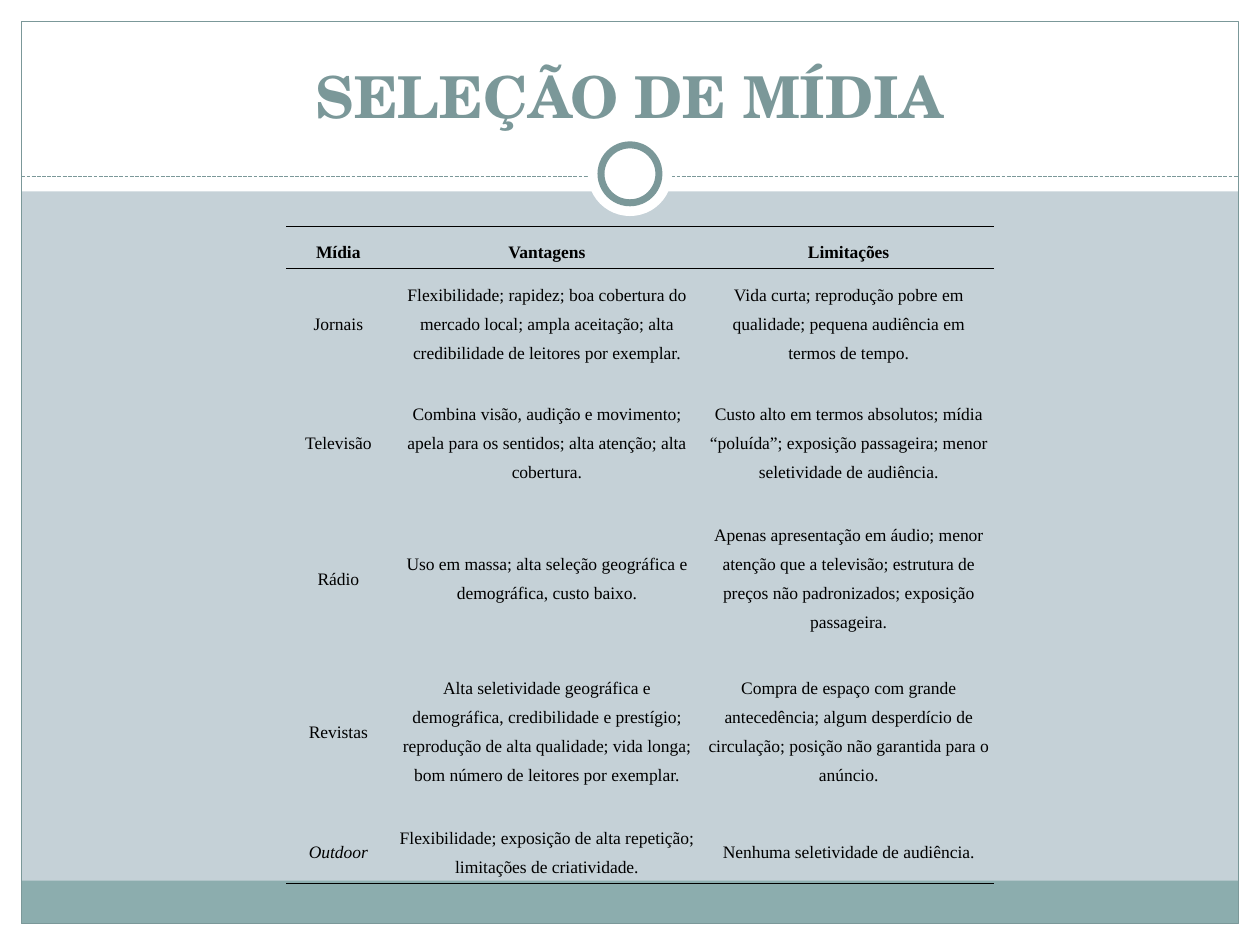
from pptx import Presentation
from pptx.dml.color import RGBColor
from pptx.enum.dml import MSO_LINE
from pptx.enum.shapes import MSO_CONNECTOR, MSO_SHAPE
from pptx.enum.text import MSO_ANCHOR, PP_ALIGN
from pptx.oxml.ns import qn
from pptx.util import Inches, Pt
from lxml.etree import SubElement

WHITE, BLACK, TEAL, BAND, PAGE = "FFFFFF", "000000", "7B9899", "8CADAE", "C5D1D7"
COLUMNS = (0.83, 2.48, 2.31)
HEIGHTS = (0.27, 0.81, 1.08, 1.08, 1.35, 0.54)
MEDIA = (
    ("Mídia", "Vantagens", "Limitações"),
    ("Jornais",
     "Flexibilidade; rapidez; boa cobertura do mercado local; ampla aceitação; "
     "alta credibilidade de leitores por exemplar.",
     "Vida curta; reprodução pobre em qualidade; pequena audiência em termos de tempo."),
    ("Televisão",
     "Combina visão, audição e movimento; apela para os sentidos; alta atenção; alta cobertura.",
     "Custo alto em termos absolutos; mídia “poluída”; exposição passageira; "
     "menor seletividade de audiência."),
    ("Rádio",
     "Uso em massa; alta seleção geográfica e demográfica, custo baixo.",
     "Apenas apresentação em áudio; menor atenção que a televisão; estrutura de preços "
     "não padronizados; exposição passageira."),
    ("Revistas",
     "Alta seletividade geográfica e demográfica, credibilidade e prestígio; reprodução "
     "de alta qualidade; vida longa; bom número de leitores por exemplar.",
     "Compra de espaço com grande antecedência; algum desperdício de circulação; "
     "posição não garantida para o anúncio."),
    ("Outdoor",
     "Flexibilidade; exposição de alta repetição; limitações de criatividade.",
     "Nenhuma seletividade de audiência."),
)


def color(value):
    """Return the colour for a hex string."""
    return RGBColor.from_string(value)


def add_plain(page, kind, box, fill=None, line=None, width=0.75):
    """Add a preset shape without shadow in a box given in inches."""
    shape = page.shapes.add_shape(kind, *map(Inches, box))
    shape.shadow.inherit = False
    if fill:
        shape.fill.solid()
        shape.fill.fore_color.rgb = color(fill)
    else:
        shape.fill.background()
    if line:
        shape.line.color.rgb = color(line)
        shape.line.width = Pt(width)
    else:
        shape.line.fill.background()


def add_frame(page, box):
    """Draw the white margins, the footer band and the outline around a box."""
    left, top, width, height = box
    right, bottom = left + width, top + height
    margins = (
        (0, bottom, 10, 7.5 - bottom),
        (0, 0, 10, 1.52),
        (0, 0, left, 7.5),
        (right, 0, 10 - right, 7.5),
    )
    for margin in margins:
        add_plain(page, MSO_SHAPE.RECTANGLE, margin, WHITE)
    add_plain(page, MSO_SHAPE.RECTANGLE, (left, bottom - 0.34, width, 0.34), BAND)
    add_plain(page, MSO_SHAPE.RECTANGLE, box, line=TEAL)


def add_divider(page, left, right, level):
    """Draw the dashed divider and the ring at its middle."""
    divider = page.shapes.add_connector(
        MSO_CONNECTOR.STRAIGHT, Inches(left), Inches(level), Inches(right), Inches(level))
    divider.line.color.rgb = color(TEAL)
    divider.line.width = Pt(0.75)
    divider.line.dash_style = MSO_LINE.SQUARE_DOT
    SubElement(divider._element.spPr, qn("a:effectLst"))
    middle = (left + right) / 2
    for size, line in ((0.67, None), (0.46, TEAL)):
        ring = (middle - size / 2, 1.38 - size / 2, size, size)
        add_plain(page, MSO_SHAPE.OVAL, ring, WHITE, line, 4)


def set_title(page, box, text):
    """Place and format the title in front of the frame."""
    title = page.shapes.title
    title.left, title.top, title.width, title.height = map(Inches, box)
    title._element.getparent().append(title._element)
    frame = title.text_frame
    frame.text = text
    frame.word_wrap = True
    frame.vertical_anchor = MSO_ANCHOR.BOTTOM
    para = frame.paragraphs[0]
    para.alignment = PP_ALIGN.CENTER
    para.font.name = "TeX Gyre Schola"
    para.font.size = Pt(33)
    para.font.bold = True
    para.font.color.rgb = color(TEAL)


def set_borders(cell, ruled):
    """Rule the named sides of a cell and clear the others."""
    properties = cell._tc.get_or_add_tcPr()
    for side in "LRTB":
        border = SubElement(properties, qn(f"a:ln{side}"), w=str(Pt(0.45)))
        if side in ruled:
            fill = SubElement(border, qn("a:solidFill"))
            SubElement(fill, qn("a:srgbClr"), val=BLACK)
        else:
            SubElement(border, qn("a:noFill"))


def format_cell(cell, text, ruled, bold, italic):
    """Fill a cell with centred text and its borders."""
    set_borders(cell, ruled)
    cell.fill.background()
    cell.vertical_anchor = MSO_ANCHOR.MIDDLE
    cell.margin_left = cell.margin_right = Inches(0.04)
    cell.margin_top = cell.margin_bottom = Inches(0.05)
    cell.text = text
    para = cell.text_frame.paragraphs[0]
    para.alignment = PP_ALIGN.CENTER
    para.line_spacing = 1.5
    para.font.name = "Times New Roman"
    para.font.size = Pt(10)
    para.font.bold = bold
    para.font.italic = italic
    para.font.color.rgb = color(BLACK)


def add_media_table(page, box):
    """Add the table that compares the media."""
    table = page.shapes.add_table(len(MEDIA), len(COLUMNS), *map(Inches, box)).table
    table.first_row = table.horz_banding = False
    for column, width in zip(table.columns, COLUMNS):
        column.width = Inches(width)
    for row, height in zip(table.rows, HEIGHTS):
        row.height = Inches(height)
    ruled = {0: "TB", 1: "T", len(MEDIA) - 1: "B"}
    for row, texts in enumerate(MEDIA):
        for column, text in enumerate(texts):
            format_cell(table.cell(row, column), text, ruled.get(row, ""),
                        row == 0, text == "Outdoor")


def main():
    """Build the deck and save it."""
    deck = Presentation()
    deck.slide_width, deck.slide_height = Inches(10), Inches(7.5)
    page = deck.slides.add_slide(deck.slide_layouts[5])
    page.background.fill.solid()
    page.background.fill.fore_color.rgb = color(PAGE)
    add_frame(page, (0.17, 0.17, 9.66, 7.16))
    add_divider(page, 0.17, 9.83, 1.4)
    set_title(page, (0.33, 0.25, 9.33, 0.83), "SELEÇÃO DE MÍDIA")
    add_media_table(page, (2.27, 1.8, sum(COLUMNS), sum(HEIGHTS)))
    deck.save("out.pptx")


if __name__ == "__main__":
    main()
